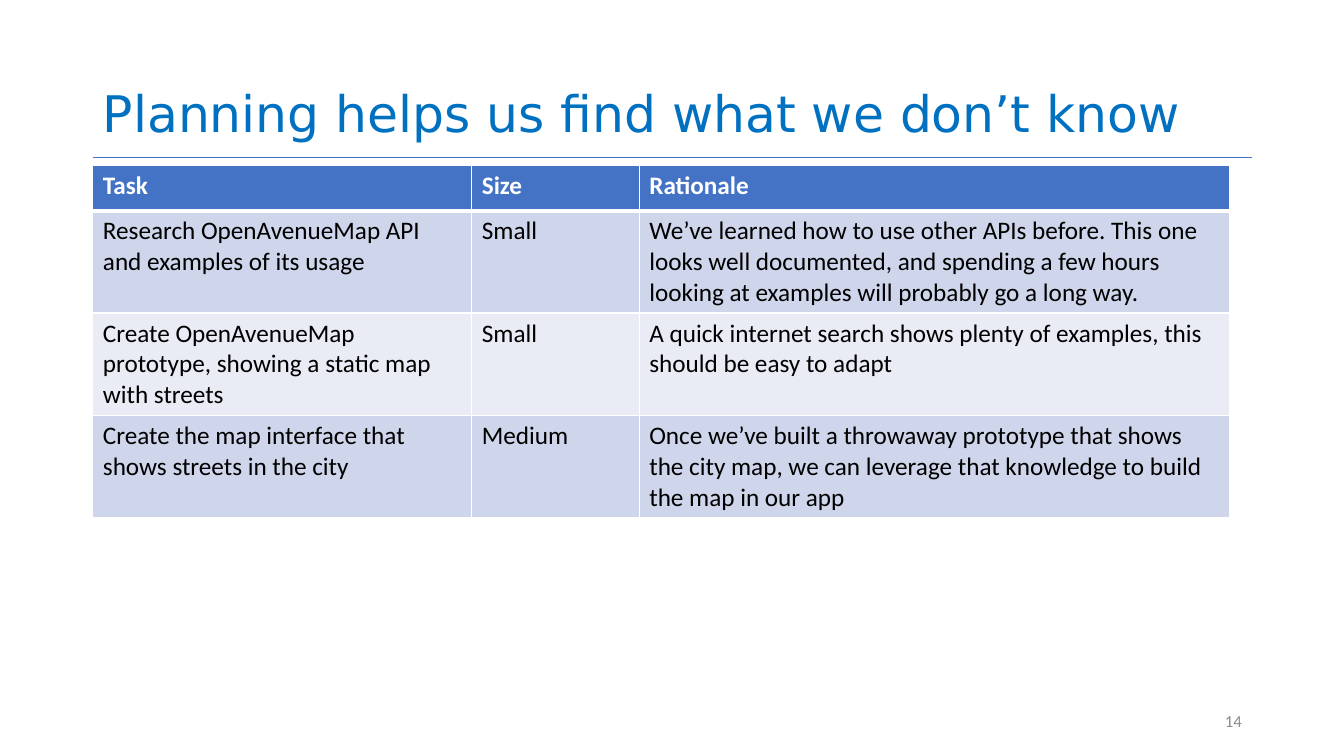
import dataclasses

import lxml.etree
import pptx
import pptx.dml.color
import pptx.enum.shapes
import pptx.enum.text
import pptx.oxml.ns
import pptx.util

Cm = pptx.util.Cm
Pt = pptx.util.Pt
qn = pptx.oxml.ns.qn


@dataclasses.dataclass(frozen=True)
class Theme:
    title_font: str = "DejaVu Sans"
    body_font: str = "Calibri"
    title_size: int = 36
    body_size: int = 18
    number_size: int = 12
    title: str = "0070C0"
    accent: str = "4472C4"
    bands: tuple = ("CFD5EA", "E9EBF5")
    white: str = "FFFFFF"
    ink: str = "000000"
    muted: str = "8C8C8C"


THEME = Theme()
TITLE = "Planning helps us find what we don’t know"
COLUMN_WIDTHS = (9.55, 4.22, 14.88)
ROW_HEIGHTS = (1.14, 2.57, 1.98, 2.57)
TASKS = (
    ("Task", "Size", "Rationale"),
    ("Research OpenAvenueMap API and examples of its usage", "Small",
     "We’ve learned how to use other APIs before. This one looks well documented, "
     "and spending a few hours looking at examples will probably go a long way."),
    ("Create OpenAvenueMap prototype, showing a static map with streets", "Small",
     "A quick internet search shows plenty of examples, this should be easy to adapt"),
    ("Create the map interface that shows streets in the city", "Medium",
     "Once we’ve built a throwaway prototype that shows the city map, "
     "we can leverage that knowledge to build the map in our app"),
)


def rgb(color):
    return pptx.dml.color.RGBColor.from_string(color)


def style(paragraph, font, size, color, bold=False):
    paragraph.font.name = font
    paragraph.font.size = Pt(size)
    paragraph.font.color.rgb = rgb(color)
    paragraph.font.bold = bold


def add_border(cell, side, points):
    border = lxml.etree.SubElement(cell._tc.get_or_add_tcPr(), qn(f"a:ln{side}"),
                                   w=str(Pt(points)))
    fill = lxml.etree.SubElement(border, qn("a:solidFill"))
    lxml.etree.SubElement(fill, qn("a:srgbClr"), val=THEME.white)


def add_heading(slide, left, top, width, height):
    # Title
    heading = slide.shapes.title
    heading.left, heading.top, heading.width, heading.height = left, top, width, height
    frame = heading.text_frame
    frame.text = TITLE
    frame.word_wrap = True
    frame.auto_size = pptx.enum.text.MSO_AUTO_SIZE.NONE
    frame.vertical_anchor = pptx.enum.text.MSO_ANCHOR.BOTTOM
    paragraph = frame.paragraphs[0]
    paragraph.alignment = pptx.enum.text.PP_ALIGN.LEFT
    paragraph.line_spacing = 0.9
    style(paragraph, THEME.title_font, THEME.title_size, THEME.title)

    # Rule under the title
    rule_y = top + height + Cm(0.23)
    rule = slide.shapes.add_connector(pptx.enum.shapes.MSO_CONNECTOR.STRAIGHT,
                                      left, rule_y, left + width, rule_y)
    rule.line.color.rgb = rgb(THEME.accent)
    rule.line.width = Pt(0.5)
    lxml.etree.SubElement(rule._element.spPr, qn("a:effectLst"))


def add_task_table(slide, left, top, width, height):
    table = slide.shapes.add_table(len(TASKS), len(COLUMN_WIDTHS),
                                   left, top, width, height).table
    for column, column_width in zip(table.columns, COLUMN_WIDTHS):
        column.width = Cm(column_width)
    for row, row_height in zip(table.rows, ROW_HEIGHTS):
        row.height = Cm(row_height)

    for row_index, task in enumerate(TASKS):
        is_header = row_index == 0
        band = THEME.accent if is_header else THEME.bands[(row_index - 1) % 2]
        # The thick line is shared by the header and the first task
        borders = {"L": 1, "R": 1, "T": 3 if row_index == 1 else 1,
                   "B": 3 if is_header else 1}
        for column_index, wording in enumerate(task):
            cell = table.cell(row_index, column_index)
            cell.text = wording
            style(cell.text_frame.paragraphs[0], THEME.body_font, THEME.body_size,
                  THEME.white if is_header else THEME.ink, is_header)
            for side, points in borders.items():
                add_border(cell, side, points)
            cell.fill.solid()
            cell.fill.fore_color.rgb = rgb(band)


def add_slide_number(slide, left, top, width, height):
    frame = slide.shapes.add_textbox(left, top, width, height).text_frame
    frame.word_wrap = True
    frame.vertical_anchor = pptx.enum.text.MSO_ANCHOR.MIDDLE
    frame.text = "14"
    paragraph = frame.paragraphs[0]
    paragraph.alignment = pptx.enum.text.PP_ALIGN.RIGHT
    style(paragraph, THEME.body_font, THEME.number_size, THEME.muted)


def main():
    deck = pptx.Presentation()
    deck.slide_width, deck.slide_height = Cm(33.87), Cm(19.05)
    slide = deck.slides.add_slide(deck.slide_layouts.get_by_name("Title Only"))
    margin = Cm(2.34)
    add_heading(slide, margin, Cm(0.05), Cm(29.21), Cm(3.68))
    add_task_table(slide, margin, Cm(4.17), Cm(sum(COLUMN_WIDTHS)), Cm(sum(ROW_HEIGHTS)))
    add_slide_number(slide, Cm(23.93), Cm(17.65), Cm(7.62), Cm(1.02))
    deck.save("out.pptx")


if __name__ == "__main__":
    main()
